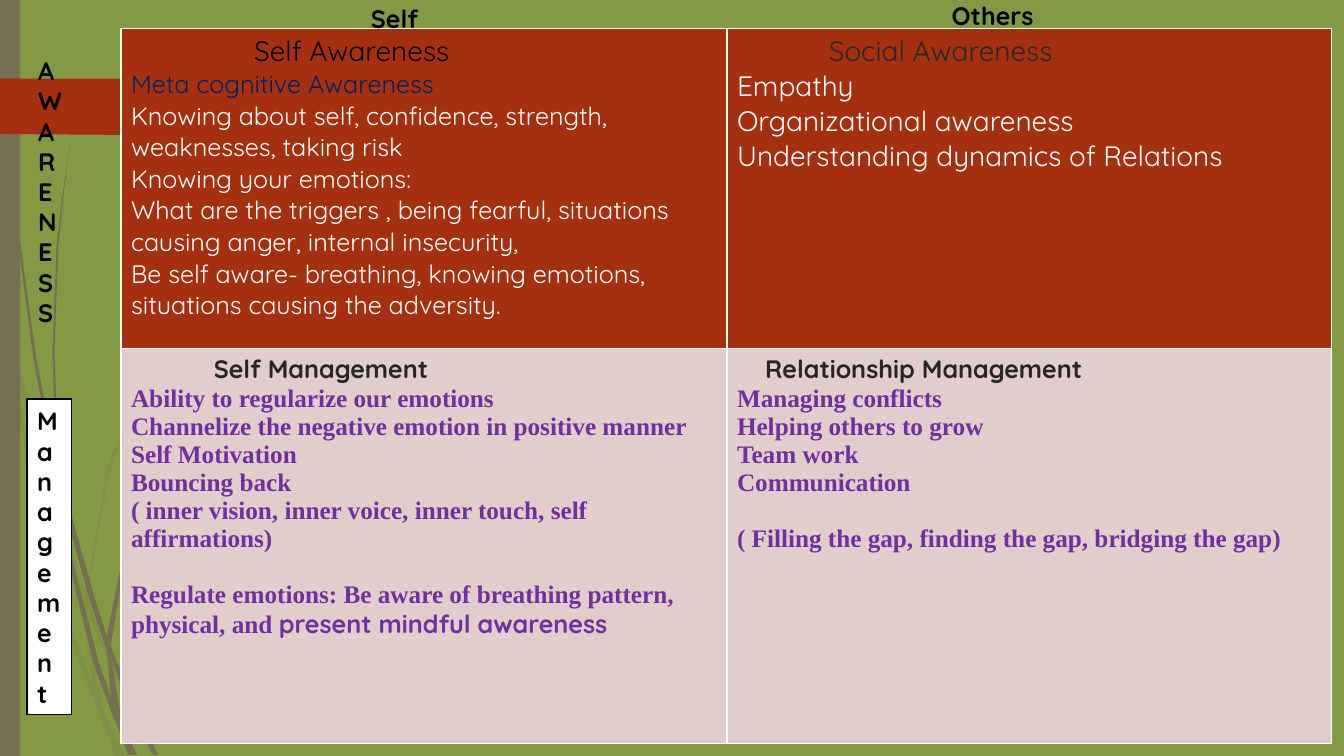
from dataclasses import dataclass

from lxml import etree
from pptx import Presentation, util as u
from pptx.dml.color import RGBColor
from pptx.enum import shapes, text
from pptx.oxml.ns import qn

PX = 9144  # EMU per px, 100 px to the inch


@dataclass(frozen=True)
class Theme:
    green: str = "839943"
    olive: str = "766F54"
    rust: str = "A53010"
    rose: str = "E1CDCC"
    white: str = "FFFFFF"
    black: str = "000000"
    dark: str = "262626"
    navy: str = "002060"
    plum: str = "7030A0"
    sans: str = "Quicksand"
    serif: str = "Times New Roman"
    big: int = 20
    mid: int = 18


T = Theme()

# Outlines of the grass blades: pale ones behind, solid ones in front
PALE = [
    [(11, 350), (9, 322), (0, 282), (0, 299), (10, 344)],
    [(58, 522), (84, 599), (85, 586), (62, 520), (14, 345), (17, 376)],
    [(92, 607), (88, 596), (88, 610), (123, 694), (150, 750), (155, 750),
     (127, 692)],
    [(119, 750), (124, 750), (105, 711)],
    [(93, 683), (70, 619), (31, 469), (17, 376), (11, 350), (28, 470),
     (65, 621), (92, 693), (101, 714), (99, 707)],
    [(84, 599), (87, 646), (93, 683), (96, 692), (105, 711), (103, 706),
     (91, 646), (88, 610), (88, 608)],
    [(88, 584), (110, 462), (160, 349), (229, 245), (268, 198), (290, 175),
     (312, 154), (312, 153), (289, 175), (268, 197), (228, 244), (158, 348),
     (107, 461), (85, 584), (85, 586), (88, 596)],
    [(101, 714), (114, 750), (119, 750)],
    [(88, 608), (88, 610), (88, 596), (85, 586), (84, 599)],
    [(96, 692), (93, 683), (99, 707), (101, 714), (119, 750), (105, 711)],
]
SOLID = [
    [(7, 110), (17, 233), (33, 355), (56, 477), (57, 481), (55, 457),
     (55, 453), (36, 355), (19, 232), (8, 109), (5, 48), (4, 0), (3, 0),
     (4, 48)],
    [(88, 592), (106, 645), (106, 633), (106, 631), (93, 590), (60, 472),
     (64, 505)],
    [(113, 649), (110, 641), (111, 656), (132, 708), (152, 749), (157, 749),
     (136, 706)],
    [(110, 691), (98, 657), (72, 556), (64, 505), (57, 477), (68, 557),
     (93, 659), (111, 708), (117, 722), (116, 717)],
    [(60, 472), (58, 453), (54, 349), (58, 245), (63, 193), (70, 141),
     (62, 193), (56, 245), (52, 349), (55, 449)],
    [(133, 749), (136, 749), (122, 719)],
    [(111, 633), (125, 552), (158, 476), (205, 406), (231, 374), (245, 359),
     (261, 344), (260, 344), (245, 358), (231, 373), (204, 405), (156, 474),
     (122, 551), (106, 631), (110, 641)],
    [(117, 722), (127, 749), (131, 749)],
    [(106, 645), (110, 691), (116, 706), (122, 719), (121, 716), (111, 656),
     (109, 651)],
    [(106, 645), (109, 651), (111, 656), (110, 641), (106, 631), (106, 633)],
    [(116, 706), (110, 691), (116, 717), (117, 722), (130, 749), (133, 749),
     (122, 719)],
]
FLAG = [(0, 78), (146, 78), (148, 79), (173, 104), (173, 108), (148, 133),
        (146, 134), (136, 134), (0, 133)]


def run(words, color=T.white, size=T.mid, font=T.sans, bold=False):
    return words, color, size, font, bold


def para(*runs, indent=0, before=0):
    return runs, indent, before


def plum(words, before=0):
    return para(run(words, T.plum, font=T.serif, bold=True), before=before)


def label(words, indent=0):
    return para(run(words, T.black, bold=True), indent=indent)


GRID = [
    [
        (T.rust, [
            para(run("Self Awareness", T.black, T.big), indent=122),
            para(run("Meta cognitive Awareness", T.navy)),
            *(para(run(s)) for s in (
                "Knowing about self, confidence, strength, weaknesses, taking risk",
                "Knowing your emotions:",
                "What are the triggers , being fearful, situations causing anger, internal insecurity,",
                "Be self aware- breathing, knowing emotions, situations causing the adversity.")),
        ]),
        (T.rust, [
            para(run("Social Awareness", T.dark, T.big), indent=91),
            *(para(run(s, size=T.big)) for s in (
                "Empathy", "Organizational awareness",
                "Understanding dynamics of Relations")),
        ]),
    ],
    [
        (T.rose, [
            para(run("Self Management", T.dark, bold=True), indent=82),
            *map(plum, (
                "Ability to regularize our emotions",
                "Channelize the negative emotion in positive manner",
                "Self Motivation", "Bouncing back",
                "( inner vision, inner voice, inner touch, self affirmations)")),
            para(run("Regulate emotions: Be aware of breathing pattern, physical, and ",
                     T.plum, font=T.serif, bold=True),
                 run("present mindful awareness", T.plum, bold=True), before=20),
        ]),
        (T.rose, [
            para(run("Relationship Management", T.dark, bold=True), indent=28),
            *map(plum, ("Managing conflicts", "Helping others to grow",
                        "Team work", "Communication")),
            plum("( Filling the gap, finding the gap, bridging the gap)", 20),
        ]),
    ],
]


def rgb(color):
    return RGBColor.from_string(color)


def paint(shape, color, alpha=None):
    """Give a plain fill, no line and no shadow; alpha is in percent."""
    shape.shadow.inherit = False
    shape.fill.solid()
    shape.fill.fore_color.rgb = rgb(color)
    shape.line.fill.background()
    if alpha:
        tone = shape.fill._xPr.find(".//" + qn("a:srgbClr"))
        etree.SubElement(tone, qn("a:alpha"), val=str(alpha * 1000))


def outline(slide, points, color, alpha=None):
    pen = slide.shapes.build_freeform(*points[0], scale=PX)
    pen.add_line_segments(points[1:], close=True)
    paint(pen.convert_to_shape(), color, alpha)


def block(slide, box, color):
    rect = slide.shapes.add_shape(shapes.MSO_SHAPE.RECTANGLE,
                                  *(n * PX for n in box))
    paint(rect, color)
    return rect


def write(frame, paras):
    frame.word_wrap = True
    for i, (runs, indent, before) in enumerate(paras):
        p = frame.add_paragraph() if i else frame.paragraphs[0]
        p.alignment = text.PP_ALIGN.LEFT
        p.space_before = u.Pt(before)
        p._p.get_or_add_pPr().set("marL", str(indent * PX))
        for words, color, size, font, bold in runs:
            r = p.add_run()
            r.text = words
            r.font.name, r.font.size, r.font.bold = font, u.Pt(size), bold
            r.font.color.rgb = rgb(color)


def caption(slide, box, words, indent=0):
    frame = slide.shapes.add_textbox(*(n * PX for n in box)).text_frame
    write(frame, [label(words, indent)])
    frame.auto_size = text.MSO_AUTO_SIZE.SHAPE_TO_FIT_TEXT


def border(cell):
    props = cell._tc.get_or_add_tcPr()
    for i, side in enumerate("LRTB"):
        line = etree.Element(qn("a:ln" + side), w=str(u.Pt(1)))
        fill = etree.SubElement(line, qn("a:solidFill"))
        etree.SubElement(fill, qn("a:srgbClr"), val=T.white)
        props.insert(i, line)


def matrix(slide, box, cols, rows):
    table = slide.shapes.add_table(len(rows), len(cols),
                                   *(n * PX for n in box)).table
    table.first_row = table.horz_banding = False
    for col, width in zip(table.columns, cols):
        col.width = width * PX
    for row, height, data in zip(table.rows, rows, GRID):
        row.height = height * PX
        for cell, (color, paras) in zip(row.cells, data):
            cell.fill.solid()
            cell.fill.fore_color.rgb = rgb(color)
            border(cell)
            write(cell.text_frame, paras)


def main():
    deck = Presentation()
    deck.slide_width, deck.slide_height = 1333 * PX, 750 * PX
    slide = deck.slides.add_slide(deck.slide_layouts[6])
    slide.background.fill.solid()
    slide.background.fill.fore_color.rgb = rgb(T.green)
    for blade in PALE:
        outline(slide, blade, T.olive, 20)
    for blade in SOLID:
        outline(slide, blade, T.olive)
    block(slide, (0, 0, 20, 750), T.olive)
    outline(slide, FLAG, T.rust)
    matrix(slide, (120, 28, 1201, 710), (601, 600), (318, 392))
    caption(slide, (28, 50, 43, 283), "AWARENESS")
    side = block(slide, (27, 396, 44, 313), T.white)
    side.line.color.rgb = rgb(T.black)
    side.line.width = u.Pt(1.25)
    write(side.text_frame, [label("Management")])
    caption(slide, (338, -2, 160, 40), "Self", 20)
    caption(slide, (934, -5, 145, 40), "Others")
    deck.save("out.pptx")


if __name__ == "__main__":
    main()
